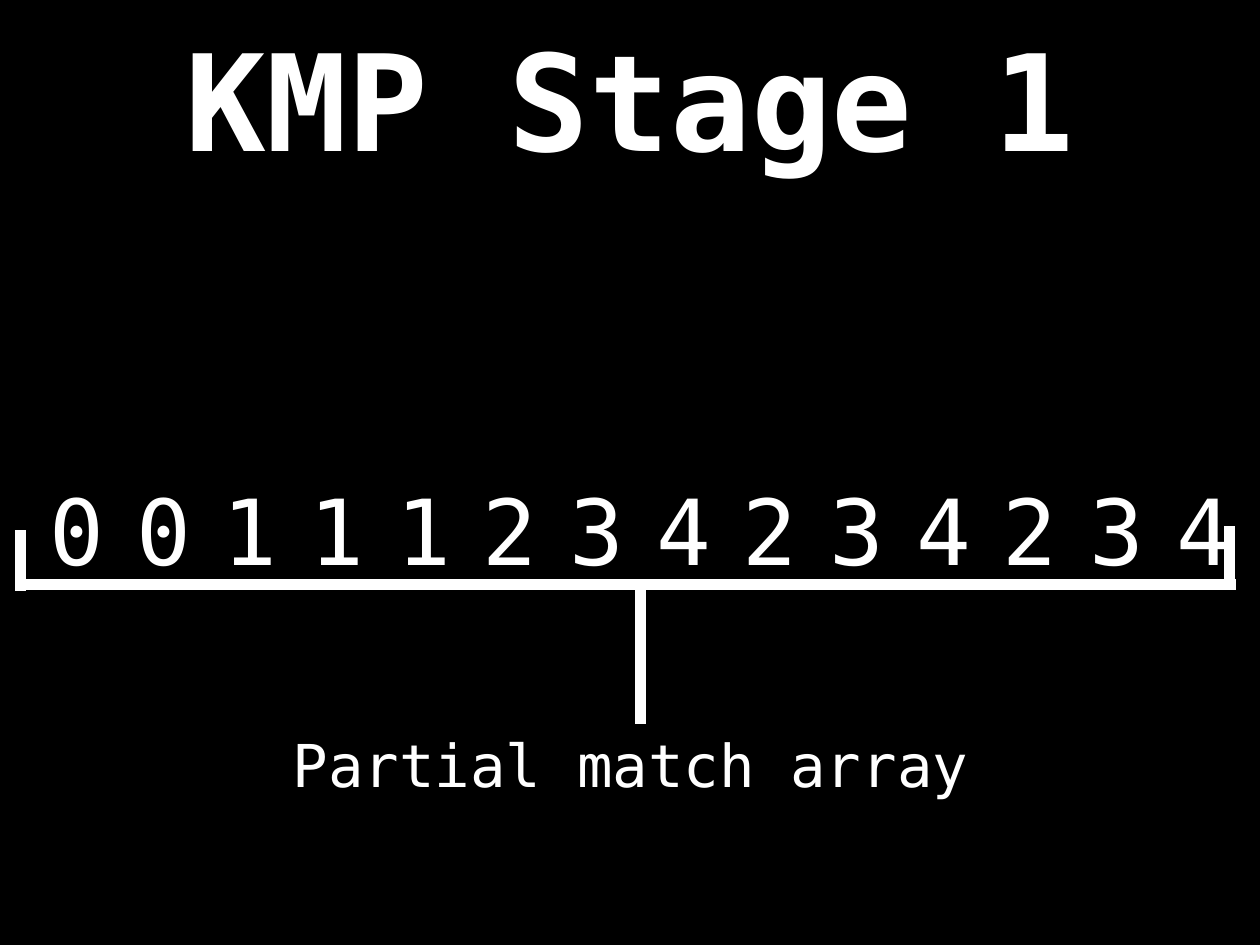
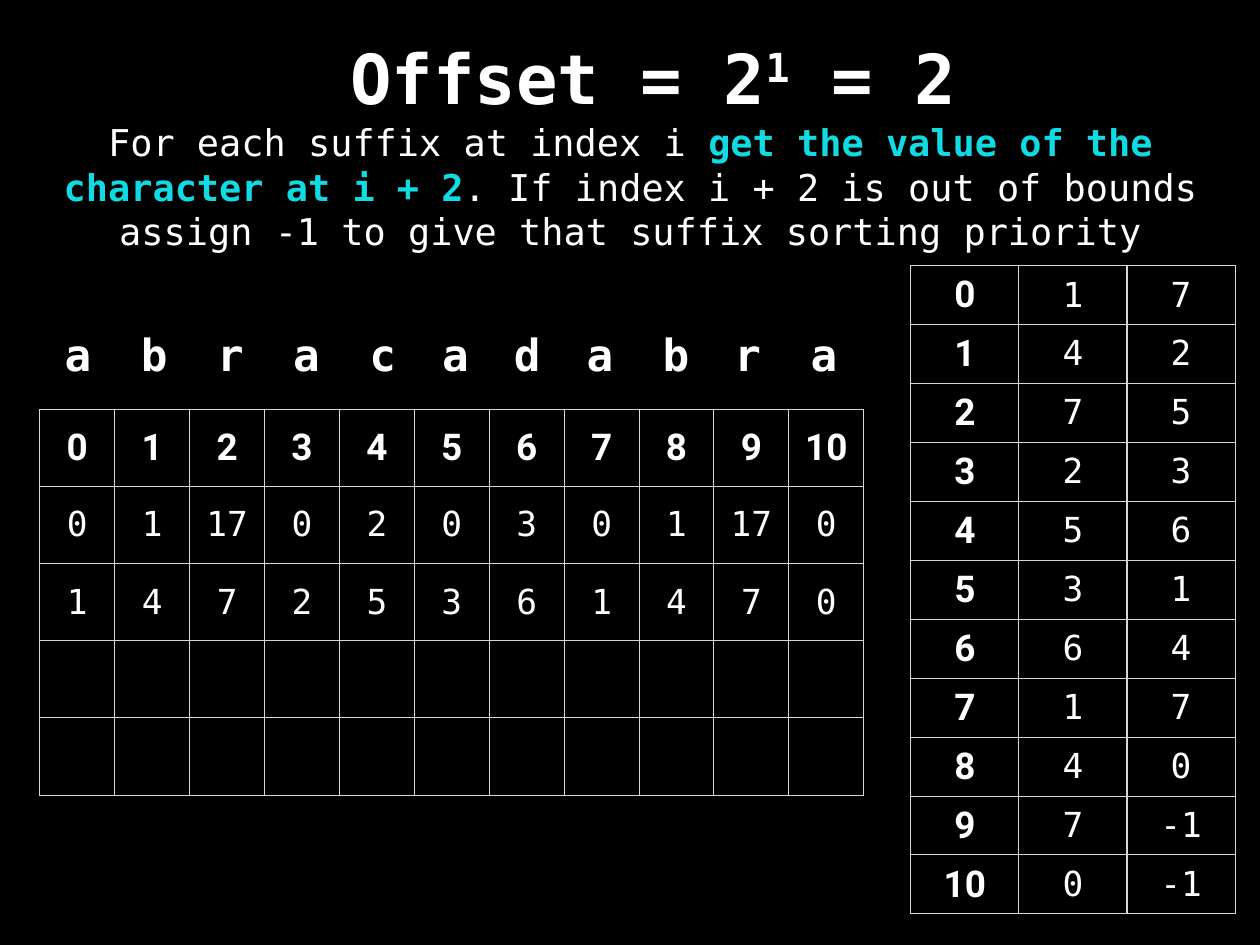
from dataclasses import dataclass
from typing import Optional, Sequence

from lxml.etree import SubElement
from pptx import Presentation
from pptx.dml.color import RGBColor
from pptx.enum.shapes import MSO_CONNECTOR
from pptx.enum.text import MSO_ANCHOR, MSO_AUTO_SIZE, PP_ALIGN
from pptx.oxml.ns import qn
from pptx.util import Inches, Pt

MONO, SANS = "DejaVu Sans Mono", "Roboto"
BLACK, WHITE, CYAN, GRID = "000000", "FFFFFF", "11DBE2", "D6D7D6"
INSET = Inches(0.06)


@dataclass(frozen=True)
class Style:
    size: float
    bold: bool = False
    face: str = MONO
    color: str = WHITE


@dataclass(frozen=True)
class Span:
    text: str
    color: Optional[str] = None
    bold: Optional[bool] = None
    raised: int = 0  # percent above the baseline
    tracking: float = 0  # points between letters


@dataclass(frozen=True)
class Area:
    left: float
    top: float
    width: float
    height: float

    def lengths(self) -> list:
        return [Inches(n) for n in (self.left, self.top, self.width, self.height)]


@dataclass(frozen=True)
class Stroke:
    x1: float
    y1: float
    x2: float
    y2: float


INDEX = Style(30, bold=True, face=SANS)
VALUE = Style(28)
LETTER = Style(36, bold=True)


def rgb(color: str) -> RGBColor:
    return RGBColor.from_string(color)


def apply_style(para, style: Style, align=PP_ALIGN.CENTER) -> None:
    para.alignment = align
    font = para.font
    font.name, font.size, font.bold = style.face, Pt(style.size), style.bold
    font.color.rgb = rgb(style.color)


def add_text(page, area: Area, style: Style, *spans: Span,
             align=PP_ALIGN.CENTER, wrap: bool = False, grow: bool = True) -> None:
    frame = page.shapes.add_textbox(*area.lengths()).text_frame
    frame.margin_left = frame.margin_right = INSET
    frame.margin_top = frame.margin_bottom = INSET
    frame.vertical_anchor = MSO_ANCHOR.MIDDLE
    frame.word_wrap = wrap
    frame.auto_size = MSO_AUTO_SIZE.SHAPE_TO_FIT_TEXT if grow else MSO_AUTO_SIZE.NONE
    para = frame.paragraphs[0]
    apply_style(para, style, align)
    for span in spans:
        run = para.add_run()
        run.text = span.text
        if span.color:
            run.font.color.rgb = rgb(span.color)
        if span.bold is not None:
            run.font.bold = span.bold
        properties = run._r.get_or_add_rPr()
        if span.raised:
            properties.set("baseline", str(span.raised * 1000))
        if span.tracking:
            properties.set("spc", str(round(span.tracking * 100)))


def add_stroke(page, stroke: Stroke) -> None:
    line = page.shapes.add_connector(
        MSO_CONNECTOR.STRAIGHT, Inches(stroke.x1), Inches(stroke.y1),
        Inches(stroke.x2), Inches(stroke.y2))
    line.line.color.rgb = rgb(WHITE)
    line.line.width = Pt(9)
    SubElement(line._element.spPr, qn("a:effectLst"))


def outline_cell(cell) -> None:
    properties = cell._tc.get_or_add_tcPr()
    for side in ("lnL", "lnR", "lnT", "lnB"):
        edge = SubElement(properties, qn(f"a:{side}"), w=str(Pt(1)))
        fill = SubElement(edge, qn("a:solidFill"))
        SubElement(fill, qn("a:srgbClr"), val=GRID)


def add_grid(page, area: Area, rows: Sequence[Sequence[object]], index_row: bool) -> None:
    """Draw a table whose first row, or else first column, holds the indexes."""
    shape = page.shapes.add_table(len(rows), len(rows[0]), *area.lengths())
    table = shape.table
    table.first_row = table.horz_banding = False
    for column in table.columns:
        column.width = Inches(area.width / len(rows[0]))
    for row in table.rows:
        row.height = Inches(area.height / len(rows))
    for r, values in enumerate(rows):
        for c, value in enumerate(values):
            cell = table.cell(r, c)
            outline_cell(cell)
            cell.fill.background()
            cell.margin_left = cell.margin_right = INSET
            cell.margin_top = cell.margin_bottom = INSET
            cell.vertical_anchor = MSO_ANCHOR.MIDDLE
            cell.text = str(value)
            is_index = (r if index_row else c) == 0
            apply_style(cell.text_frame.paragraphs[0], INDEX if is_index else VALUE)


def build_match_page(page) -> None:
    add_text(page, Area(1.04, -0.08, 12.14, 2.36), Style(109, bold=True),
             Span("KMP Stage 1"), wrap=True, grow=False)
    add_text(page, Area(0.32, 5.32, 13.82, 1.31), Style(74),
             Span("00111234234234", tracking=25.9))
    add_text(page, Area(3.24, 8.18, 7.75, 0.89), Style(48), Span("Partial match array"))
    bracket = (
        Stroke(0.23, 6.67, 0.23, 5.99),
        Stroke(0.28, 6.6, 13.95, 6.6),
        Stroke(13.88, 6.62, 13.88, 5.94),
        Stroke(7.23, 8.17, 7.23, 6.64),
    )
    for stroke in bracket:
        add_stroke(page, stroke)


def build_offset_page(page) -> None:
    indexes = range(11)
    ranks = (1, 4, 7, 2, 5, 3, 6, 1, 4, 7, 0)
    offset_ranks = (7, 2, 5, 3, 6, 1, 4, 7, 0, -1, -1)
    letter_codes = (0, 1, 17, 0, 2, 0, 3, 0, 1, 17, 0)
    unfilled = [""] * len(indexes)
    add_grid(page, Area(0.45, 4.62, 9.3, 4.36),
             [indexes, letter_codes, ranks, unfilled, unfilled], index_row=True)

    letter_lefts = (0.67, 1.53, 2.39, 3.25, 4.11, 4.93, 5.74, 6.56, 7.42, 8.23, 9.09)
    for letter, left in zip("abracadabra", letter_lefts):
        add_text(page, Area(left, 3.66, 0.43, 0.68), LETTER, Span(letter),
                 align=PP_ALIGN.LEFT)

    add_text(page, Area(2.36, 0.36, 10.02, 1.01), Style(56, bold=True),
             Span("Offset = 2"), Span("1", raised=32), Span(" = 2"), wrap=True)
    add_grid(page, Area(10.28, 3, 3.66, 7.32),
             list(zip(indexes, ranks, offset_ranks)), index_row=False)
    add_text(page, Area(0.57, 1.32, 13.09, 1.57), Style(30),
             Span("For each suffix at index i "),
             Span("get the value of the character at i + 2", CYAN, bold=True),
             Span(". If index i + 2 is out of bounds assign -1 to give that "
                  "suffix sorting priority"),
             wrap=True)


def main() -> None:
    deck = Presentation()
    deck.slide_width, deck.slide_height = Inches(14.22), Inches(10.67)
    backdrop = deck.slide_master.background.fill
    backdrop.solid()
    backdrop.fore_color.rgb = rgb(BLACK)
    blank = deck.slide_layouts[6]
    for build in (build_match_page, build_offset_page):
        build(deck.slides.add_slide(blank))
    deck.save("out.pptx")


if __name__ == "__main__":
    main()
